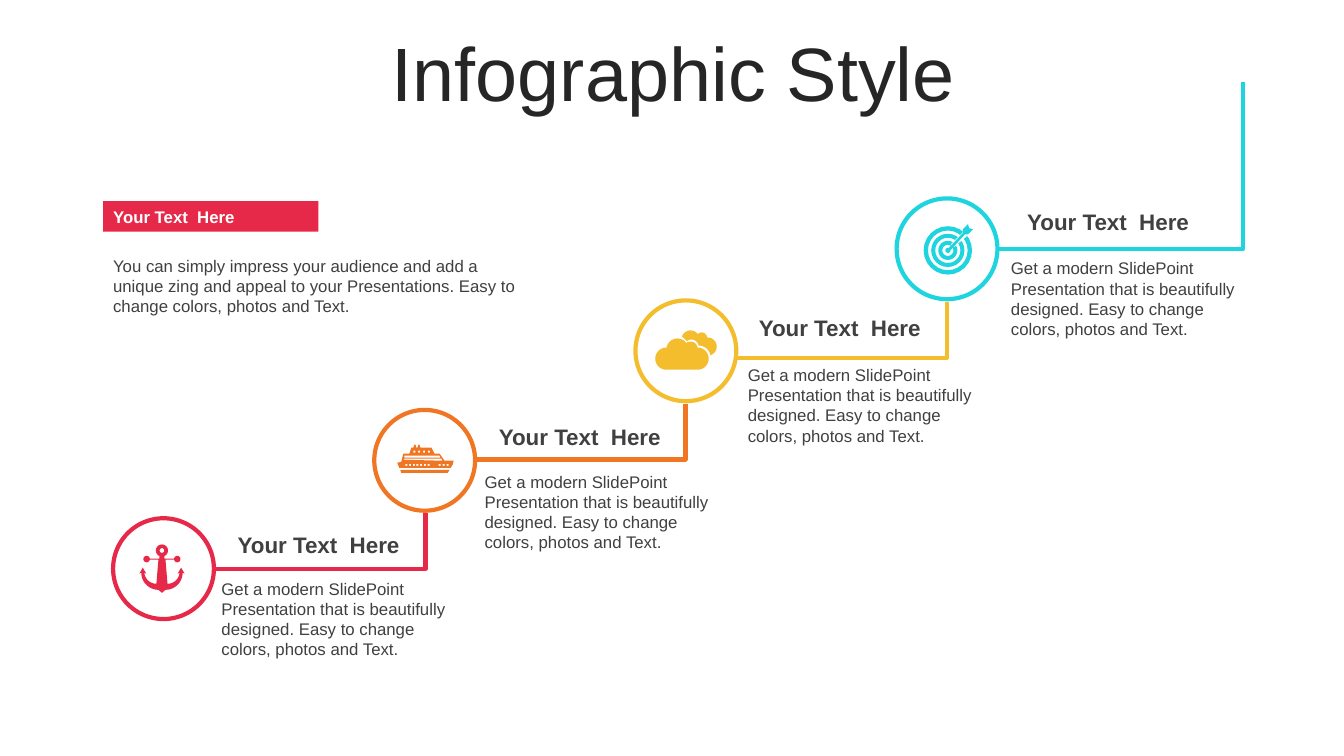
from math import cos, radians, sin

from lxml import etree
from pptx import Presentation
from pptx.dml.color import RGBColor
from pptx.enum import shapes, text
from pptx.oxml.ns import qn
from pptx.util import Cm, Pt

COLORS = {
    "red": "E62949", "orange": "F07624", "yellow": "F4BD2D", "cyan": "1ED4DE",
    "title": "262626", "body": "404040", "white": "FFFFFF",
}
FONT = "Arial"
ICON_UNIT = 0.0254  # cm
ICON_DETAIL = 100   # subdivisions of an icon unit
DIAMETER = 2.54
HEADING = "Your Text  Here"
STEP_BODY = ("Get a modern SlidePoint  Presentation that is beautifully designed. "
             "Easy to change colors, photos and Text.")


def write(holder, words, size, color, bold=False):
    frame = holder.text_frame
    frame.word_wrap = True
    frame.text = words
    paragraph = frame.paragraphs[0]
    paragraph.alignment = text.PP_ALIGN.LEFT
    font = paragraph.runs[0].font
    font.name, font.size, font.bold = FONT, Pt(size), bold
    font.color.rgb = RGBColor.from_string(COLORS[color])
    return paragraph


def arc(x, y, radius, start=0, end=360):
    """Points along an arc; degrees run clockwise from the right."""
    angles = [radians(start + (end - start) * i / 24) for i in range(25)]
    return [(x + radius * cos(a), y + radius * sin(a)) for a in angles]


prs = Presentation()
prs.slide_width, prs.slide_height = Cm(33.86), Cm(19.05)
slide = prs.slides.add_slide(prs.slide_layouts[6])
items = slide.shapes

# Title and introduction
title = items.add_textbox(Cm(0.89), Cm(0.94), Cm(32.16), Cm(2.01))
title.text_frame.vertical_anchor = text.MSO_ANCHOR.MIDDLE
title_line = write(title, "Infographic Style", 54, "title")
title_line.alignment = text.PP_ALIGN.CENTER
title_line.line_spacing = 0.9

banner = items.add_shape(shapes.MSO_SHAPE.RECTANGLE, Cm(2.6), Cm(5.07), Cm(5.42), Cm(0.77))
banner.shadow.inherit = False
banner.fill.solid()
banner.fill.fore_color.rgb = RGBColor.from_string(COLORS["red"])
banner.line.fill.background()
write(banner, HEADING, 12, "white", bold=True)

intro = items.add_textbox(Cm(2.6), Cm(6.32), Cm(10.82), Cm(1.8))
write(intro, "You can simply impress your audience and add a unique zing and appeal to your "
      "Presentations. Easy to change colors, photos and Text.", 12, "body")

# Steps: color, circle center, connector y, connector end, heading corner
steps = [
    ("red", (4.12, 14.33), 14.33, (10.72, 12.93), (5.74, 13.26)),
    ("orange", (10.7, 11.6), 11.58, (17.27, 10.19), (12.32, 10.54)),
    ("yellow", (17.28, 8.84), 9.02, (23.85, 7.62), (18.87, 7.8)),
    ("cyan", (23.86, 6.27), 6.27, (31.32, 2.06), (25.63, 5.11)),
]
for number, (color, (x, y), elbow_y, (end_x, end_y), (head_x, head_y)) in enumerate(steps):
    circle = items.add_shape(shapes.MSO_SHAPE.OVAL, Cm(x - DIAMETER / 2), Cm(y - DIAMETER / 2),
                             Cm(DIAMETER), Cm(DIAMETER))
    circle.shadow.inherit = False
    circle.fill.background()
    riser = items.add_connector(shapes.MSO_CONNECTOR.ELBOW, Cm(x + 1.29), Cm(elbow_y),
                                Cm(end_x), Cm(end_y))
    properties = riser._element.spPr
    properties.find(qn("a:prstGeom")).set("prst", "bentConnector2")
    for outlined in (circle, riser):
        outlined.line.color.rgb = RGBColor.from_string(COLORS[color])
        outlined.line.width = Pt(3)
    etree.SubElement(properties, qn("a:effectLst"))

    heading = items.add_textbox(Cm(head_x), Cm(head_y), Cm(4.98), Cm(0.94))
    write(heading, HEADING, 16, "body", bold=True)
    body = items.add_textbox(Cm(5.33 + 6.63 * number), Cm(14.45 - 2.69 * number),
                             Cm(6.2), Cm(2.31))
    write(body, STEP_BODY, 12, "body")

# Icon outlines, in icon units around each icon's center
anchor_right = (
    arc(0, -18, 6, -90, 65) + [(2.5, -13), (2.5, -10), (12.5, -10)]
    + arc(15.2, -9.5, 3.2, 190, 530) + [(12.5, -9), (3.5, -9), (5.5, 15)]
    + arc(5.5, 3, 12, 90, 5) + [(15.5, 5), (19, -1), (22.5, 5), (20.5, 4)]
    + arc(3.5, 4, 17, 0, 90) + [(0, 24)]
)
anchor = [anchor_right + [(-x, y) for x, y in reversed(anchor_right)], arc(0, -18, 2.3)]

ship = [
    [(-7, -14), (-6, -14), (-5, -11), (6, -11), (9, -5), (14, -5), (19, 2), (28, 2), (27, 6),
     (25, 9), (-26, 9), (-28, 4), (-24, 3), (-22, -5), (-16, -5), (-14, -11), (-12, -11),
     (-11, -14), (-10, -14), (-9, -11), (-8, -11)],
    [(-25, 11), (24, 11), (22, 14), (-24, 14)],
    [(-21, 0), (-22, 1), (17, 2), (16, 0)],
    [(-21, -3), (-21, -1), (15, -1), (14, -3)],
]
portholes = [(-20 + 3.7 * i, 5) for i in range(7)] + [(13 + 4 * i, 5) for i in range(3)]
cabin_windows = [(-12 + 4.8 * i, -8) for i in range(4)]
for x, y in portholes + cabin_windows:
    ship.append([(x, y), (x, y + 2), (x + 2, y + 2), (x + 2, y)])

clouds = [
    arc(-19, 9, 11, 90, 270) + arc(-8, 0, 11, 190, 320) + arc(5, -1, 7, 230, 350)
    + arc(12, 9, 11, 270, 450),
    arc(5, -10, 9, 200, 325) + arc(16, -11.5, 5.5, 230, 360) + arc(22, -3, 9, 270, 430)
    + arc(13, 8, 12, 350, 270) + arc(6, -3, 7, 350, 230),
]

target = [arc(0, 0, radius) for radius in (24, 19.7, 16.5, 12.5, 9.5, 5.5)]
dart_gap = [(3, -6), (16, -19), (20, -15), (6, -3)]
dart = [arc(0, 0, 2.5, 0, 290) + [(15, -17.5), (15, -21), (20, -26), (21, -22), (25, -21),
                                  (20, -16), (17, -16)]]

# Icons: color, center, outlines
icons = [
    ("red", (4.08, 14.33), anchor),
    ("orange", (10.72, 11.56), ship),
    ("yellow", (17.27, 8.81), clouds),
    ("cyan", (23.88, 6.31), target),
    ("white", (23.88, 6.31), [dart_gap]),
    ("cyan", (23.88, 6.31), dart),
]
for color, (x, y), outlines in icons:
    builder = None
    for outline in outlines:
        start, *rest = [(px * ICON_DETAIL, py * ICON_DETAIL) for px, py in outline]
        if builder is None:
            builder = items.build_freeform(*start, scale=Cm(ICON_UNIT) / ICON_DETAIL)
        else:
            builder.move_to(*start)
        builder.add_line_segments(rest, close=True)
    icon = builder.convert_to_shape(Cm(x), Cm(y))
    icon.shadow.inherit = False
    icon.fill.solid()
    icon.fill.fore_color.rgb = RGBColor.from_string(COLORS[color])
    icon.line.fill.background()

prs.save("out.pptx")
